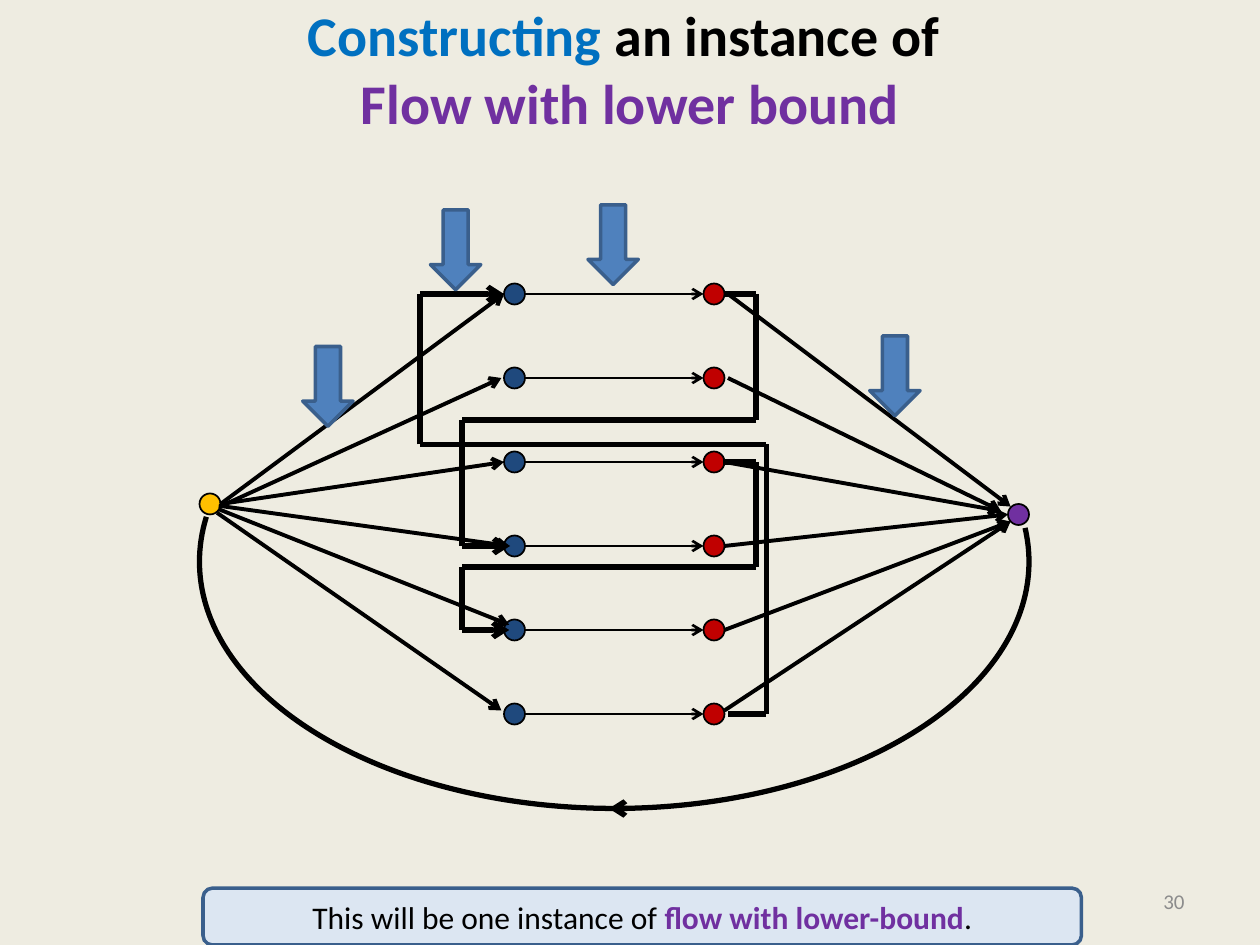
from dataclasses import dataclass
from itertools import pairwise

from lxml.etree import SubElement
from pptx import Presentation
from pptx.dml.color import RGBColor
from pptx.enum.shapes import MSO_CONNECTOR as Connector, MSO_SHAPE as Shape
from pptx.enum.text import MSO_ANCHOR as Anchor, PP_ALIGN as Align
from pptx.oxml.ns import qn
from pptx.util import Pt


@dataclass(frozen=True)
class Theme:
    font: str = "Calibri"
    background: str = "EEECE1"
    ink: str = "000000"
    blue: str = "0070C0"
    purple: str = "7030A0"
    grey: str = "8C8C8C"
    red: str = "C00000"
    navy: str = "1F497D"
    gold: str = "FFC000"
    pointer: str = "4F81BD"
    border: str = "3A5F8C"
    panel: str = "DCE6F2"
    title_size: float = 32
    note_size: float = 18
    number_size: float = 12
    thin: float = 1.5
    medium: float = 2.25
    thick: float = 3


@dataclass(frozen=True)
class Box:
    left: float
    top: float
    width: float
    height: float

    def inner(self, left, top, width, height):
        return Box(self.left + left, self.top + top, width, height)

    def emu(self):
        return Pt(self.left), Pt(self.top), Pt(self.width), Pt(self.height)


THEME = Theme()
RADIUS = 6
ROWS = [54 + 48 * row for row in range(6)]
LEFT_X, RIGHT_X = 180, 294
SOURCE, SINK = (6, 174), (468, 180)

# Start and end of each edge, from the top row down
SOURCE_EDGES = [
    ((12, 174), (174, 54)), ((15, 174), (172.5, 102)), ((12, 174), (174, 150)),
    ((11, 175), (177, 198)), ((11, 177), (177, 243)), ((10, 179), (172.5, 292)),
]
SINK_EDGES = [
    ((302, 54), (463.5, 175.5)), ((302, 102), (458, 178)), ((300, 150), (458, 178)),
    ((300, 198), (462, 180)), ((300, 246), (463.5, 184)), ((300, 292), (463.5, 184)),
]
# From row, to row, start x, right x, crossing y, left x, arrow start x, arrow end x
ROUTES = [
    (2, 4, 299, 318, 210, 150, 168, 177),
    (0, 3, 300, 318, 126, 150, 169, 177.5),
    (5, 0, 302, 324, 140, 126, 165, 174),
]
POINTERS = [(222, 3), (59, 84), (132, 6), (383, 78)]


def rgb(color):
    return RGBColor.from_string(color)


def write(paragraph, parts, size, align):
    """Fill a paragraph with (text, colour, bold) parts; None is a line break."""
    paragraph.alignment = align
    paragraph.font.size = Pt(size)
    paragraph.font.name = THEME.font
    for part in parts:
        if part is None:
            paragraph.add_line_break()
            continue
        run = paragraph.add_run()
        run.text, color, run.font.bold = part
        run.font.color.rgb = rgb(color)


def add_preset(slide, kind, box, fill, line, width):
    shape = slide.shapes.add_shape(kind, *box.emu())
    shape.shadow.inherit = False
    if fill:
        shape.fill.solid()
        shape.fill.fore_color.rgb = rgb(fill)
    else:
        shape.fill.background()
    shape.line.color.rgb = rgb(line)
    shape.line.width = Pt(width)
    return shape


def add_edge(slide, box, start, end, width, arrow=True):
    ends = [Pt(value) for x, y in (start, end) for value in (box.left + x, box.top + y)]
    connector = slide.shapes.add_connector(Connector.STRAIGHT, *ends)
    connector.line.color.rgb = rgb(THEME.ink)
    connector.line.width = Pt(width)
    if arrow:
        SubElement(connector.line._get_or_add_ln(), qn("a:tailEnd"), type="arrow")
    SubElement(connector._element.spPr, qn("a:effectLst"))


def add_node(slide, box, center, fill):
    x, y = center
    circle = box.inner(x - RADIUS, y - RADIUS, 2 * RADIUS, 2 * RADIUS)
    add_preset(slide, Shape.OVAL, circle, fill, THEME.ink, 1)


def add_route(slide, box, route):
    """Draw a right-angled edge from a red node round to a blue node."""
    from_row, to_row, start, right, crossing, left, arrow_start, arrow_end = route
    begin, finish = ROWS[from_row], ROWS[to_row]
    corners = [(start, begin), (right, begin), (right, crossing),
               (left, crossing), (left, finish), (arrow_start, finish)]
    for first, second in pairwise(corners):
        add_edge(slide, box, first, second, THEME.thick, arrow=False)
    add_edge(slide, box, corners[-1], (arrow_end, finish), THEME.thick)


def add_return_arc(slide, box):
    arc = add_preset(slide, Shape.ARC, box, None, THEME.ink, THEME.thick)
    arc.adjustments[0], arc.adjustments[1] = 213.18, 111.77
    middle = box.width / 2
    add_edge(slide, box, (middle + 9, box.height), (middle - 3, box.height), THEME.thick)


def add_network(slide, box):
    for y in ROWS:
        add_node(slide, box, (RIGHT_X, y), THEME.red)
        add_node(slide, box, (LEFT_X, y), THEME.navy)
        add_edge(slide, box, (LEFT_X + RADIUS, y), (RIGHT_X - RADIUS, y), THEME.thin)
    add_node(slide, box, SOURCE, THEME.gold)
    add_node(slide, box, SINK, THEME.purple)
    for route in ROUTES:
        add_route(slide, box, route)
    add_return_arc(slide, box.inner(0, 66, box.width, box.height - 66))
    for start, end in SOURCE_EDGES + SINK_EDGES:
        add_edge(slide, box, start, end, THEME.medium)
    for x, y in POINTERS:
        add_preset(slide, Shape.DOWN_ARROW, box.inner(x, y, 28.8, 45.6),
                   THEME.pointer, THEME.border, 2)


def set_title(slide, box):
    title = slide.shapes.title
    title.left, title.top, title.width, title.height = box.emu()
    title.text_frame.vertical_anchor = Anchor.MIDDLE
    write(title.text_frame.paragraphs[0],
          [("Constructing", THEME.blue, True), (" an instance of ", THEME.ink, True), None,
           ("Flow with lower bound", THEME.purple, True)],
          THEME.title_size, Align.CENTER)


def add_slide_number(slide, box):
    frame = slide.shapes.add_textbox(*box.emu()).text_frame
    frame.word_wrap = True
    frame.vertical_anchor = Anchor.MIDDLE
    write(frame.paragraphs[0], [("30", THEME.grey, False)], THEME.number_size, Align.RIGHT)


def add_note(slide, box):
    panel = add_preset(slide, Shape.ROUNDED_RECTANGLE, box, THEME.panel, THEME.border, 2)
    panel.text_frame.vertical_anchor = Anchor.MIDDLE
    write(panel.text_frame.paragraphs[0],
          [("This will be one instance of ", THEME.ink, False),
           ("flow with lower-bound", THEME.purple, True), (".", THEME.ink, False)],
          THEME.note_size, Align.CENTER)


def main():
    presentation = Presentation()
    presentation.slide_width, presentation.slide_height = Pt(720), Pt(540)
    slide = presentation.slides.add_slide(presentation.slide_layouts[5])
    slide.background.fill.solid()
    slide.background.fill.fore_color.rgb = rgb(THEME.background)
    set_title(slide, Box(36, -6, 648, 90))
    add_slide_number(slide, Box(516, 500.5, 168, 28.75))
    add_network(slide, Box(114, 114, 474, 348))
    add_note(slide, Box(116, 507.5, 502, 32.5))
    presentation.save("out.pptx")


if __name__ == "__main__":
    main()
